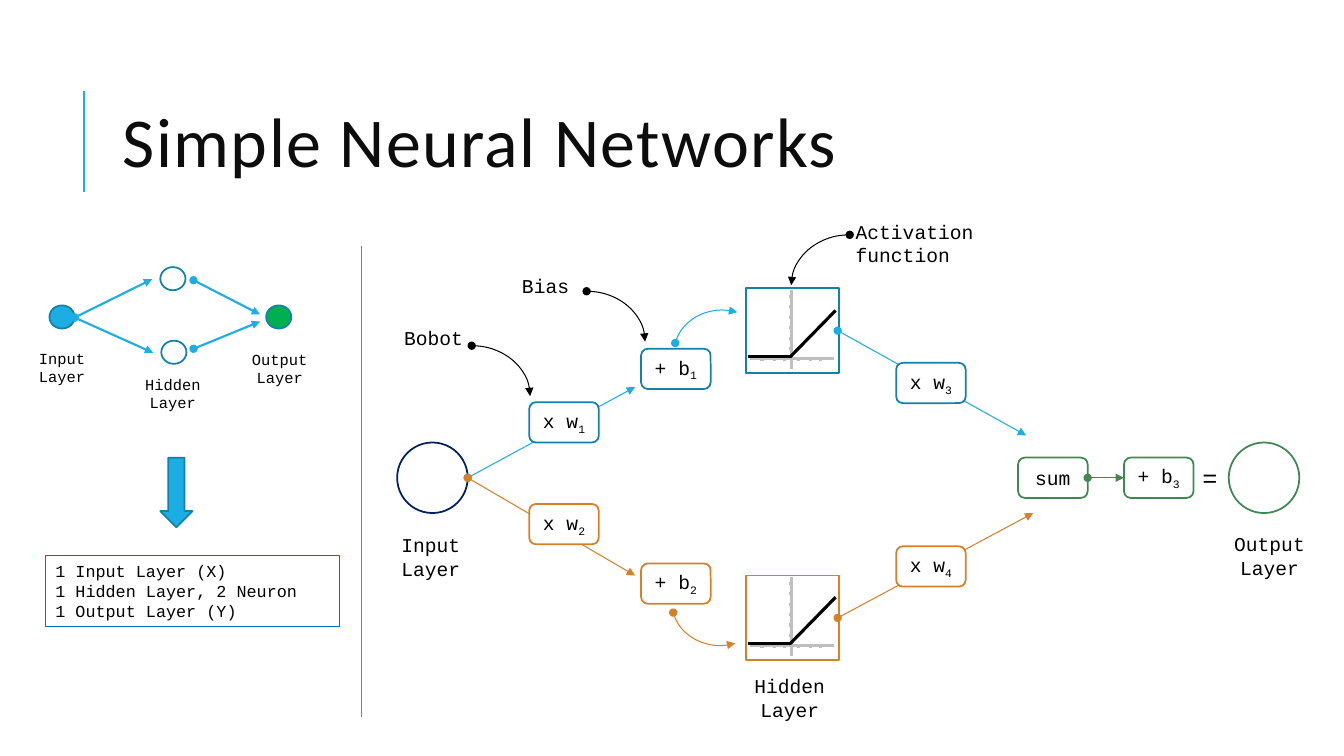
from dataclasses import dataclass

import pptx
import pptx.dml.color
import pptx.enum.shapes
import pptx.enum.text
import pptx.oxml
import pptx.oxml.ns
import pptx.shapes.autoshape
import pptx.shapes.base
import pptx.shapes.shapetree
import pptx.util

SHAPE = pptx.enum.shapes.MSO_SHAPE
ALIGN = pptx.enum.text.PP_ALIGN
ANCHOR = pptx.enum.text.MSO_ANCHOR
Canvas = pptx.shapes.shapetree.SlideShapes | pptx.shapes.shapetree.GroupShapes

COLORS = {
    "white": "FFFFFF", "black": "000000", "title": "0D0D0D", "sky": "1CADE4",
    "teal": "1580A9", "orange": "D88028", "green": "3E8853", "navy": "002060",
    "output": "00B050", "frame": "0070C0", "axis": "BFBFBF", "divider": "7F7F7F",
}
COLUMNS, ROWS = 133.33, 75  # square grid cells, a tenth of an inch each
CELL = pptx.util.Inches(0.1)
CODE_FONT = "Courier New"


@dataclass
class Outline:
    kind: SHAPE
    left: float
    top: float
    width: float
    height: float
    line: str
    fill: str | None = None
    weight: float = 1.25


@dataclass
class Step:
    left: float
    top: float
    text: str
    index: str
    line: str


@dataclass
class Link:
    start: tuple[float, float]
    end: tuple[float, float]
    line: str
    weight: float = 0.75
    arrow: bool = True


@dataclass
class Curve:
    left: float
    top: float
    width: float
    height: float
    line: str
    rotation: float = 0
    flip: str = ""


@dataclass
class Label:
    text: str
    left: float
    top: float
    width: float
    height: float
    size: float = 14
    align: ALIGN = ALIGN.CENTER
    font: str = CODE_FONT
    color: str = "black"


def cells(count: float) -> pptx.util.Length:
    return pptx.util.Emu(round(count * CELL))


def rgb(name: str) -> pptx.dml.color.RGBColor:
    return pptx.dml.color.RGBColor.from_string(COLORS[name])


def set_line(shape: pptx.shapes.base.BaseShape, color: str, weight: float, arrow: bool = False) -> None:
    shape.line.color.rgb = rgb(color)
    shape.line.width = pptx.util.Pt(weight)
    if arrow:
        for end, kind in (("a:headEnd", "oval"), ("a:tailEnd", "triangle")):
            shape.get_or_add_ln().append(pptx.oxml.parse_xml(
                f'<{end} {pptx.oxml.ns.nsdecls("a")} type="{kind}"/>'))


def draw_outline(canvas: Canvas, item: Outline) -> pptx.shapes.autoshape.Shape:
    shape = canvas.add_shape(item.kind, *map(cells, (item.left, item.top, item.width, item.height)))
    shape.shadow.inherit = False
    if item.fill:
        shape.fill.solid()
        shape.fill.fore_color.rgb = rgb(item.fill)
    else:
        shape.fill.background()
    set_line(shape, item.line, item.weight)
    return shape


def draw_link(canvas: Canvas, link: Link) -> None:
    connector = canvas.add_connector(
        pptx.enum.shapes.MSO_CONNECTOR.STRAIGHT, *map(cells, (*link.start, *link.end)))
    set_line(connector, link.line, link.weight, link.arrow)
    connector.element.spPr.append(
        pptx.oxml.parse_xml(f'<a:effectLst {pptx.oxml.ns.nsdecls("a")}/>'))


def draw_curve(canvas: Canvas, curve: Curve) -> None:
    shape = draw_outline(canvas, Outline(
        SHAPE.ARC, curve.left, curve.top, curve.width, curve.height, curve.line, weight=0.75))
    set_line(shape, curve.line, 0.75, arrow=True)
    shape.rotation = curve.rotation
    if curve.flip:
        shape.element.spPr.find(pptx.oxml.ns.qn("a:xfrm")).set(curve.flip, "1")


def write(box: pptx.shapes.autoshape.Shape, text: str, size: float, align: ALIGN,
          font: str = CODE_FONT, color: str = "black") -> None:
    box.text_frame.text = text
    box.text_frame.word_wrap = True
    for para in box.text_frame.paragraphs:
        para.alignment = align
        for span in para.runs:
            style_span(span, size, font, color)


def style_span(span, size: float, font: str, color: str) -> None:
    span.font.size = pptx.util.Pt(size)
    span.font.name = font
    span.font.color.rgb = rgb(color)


def set_last_run(box: pptx.shapes.autoshape.Shape, name: str, value: str) -> None:
    """Set an XML attribute of the last run, such as baseline or spacing."""
    box.element.findall(".//" + pptx.oxml.ns.qn("a:rPr"))[-1].set(name, value)


def draw_label(canvas: Canvas, label: Label) -> pptx.shapes.autoshape.Shape:
    box = canvas.add_textbox(*map(cells, (label.left, label.top, label.width, label.height)))
    write(box, label.text, label.size, label.align, label.font, label.color)
    return box


def draw_step(canvas: Canvas, step: Step) -> None:
    box = draw_outline(canvas, Outline(
        SHAPE.ROUNDED_RECTANGLE, step.left, step.top, 6.9, 4, step.line, "white"))
    write(box, step.text, 14, ALIGN.CENTER)
    box.text_frame.vertical_anchor = ANCHOR.MIDDLE
    if step.index:
        span = box.text_frame.paragraphs[0].add_run()
        span.text = step.index
        style_span(span, 14, CODE_FONT, "black")
        set_last_run(box, "baseline", "-25000")


def draw_activation(canvas: Canvas, top: float) -> None:
    """Draw ticked axes and the rectifier curve."""
    center, base = 78.5, top + 7
    grey = [((74.4, base), (82.7, base)), ((center, top + 0.2), (center, top + 8))]
    grey += [((center + x, base), (center + x, base + 0.2)) for x in (-2.9, -1.7, -0.7, 0.7, 1.9, 2.9)]
    grey += [((center, y), (center - 0.2, y)) for y in (top + 0.8 + 1.04 * i for i in range(6))]
    axes = canvas.add_group_shape().shapes
    for start, end in grey:
        draw_link(axes, Link(start, end, "axis", 2.25, False))
    curve = canvas.add_group_shape().shapes
    for start, end in (((74.2, base - 0.2), (78.5, base - 0.2)), ((78.4, base - 0.2), (82.9, base - 4.8))):
        draw_link(curve, Link(start, end, "black", 2.25, False))


NODES = [
    Outline(SHAPE.OVAL, 39.4, 43.9, 7, 7, "navy", "white"),
    Outline(SHAPE.RECTANGLE, 74, 28.6, 9.2, 8.4, "teal", "white"),
    Outline(SHAPE.RECTANGLE, 74, 57.1, 9.2, 8.4, "orange", "white"),
    Outline(SHAPE.OVAL, 121.9, 43.9, 7, 7, "green", "white"),
    Outline(SHAPE.DOWN_ARROW, 15.9, 45.4, 3.2, 6.9, "teal", "sky"),
]
LINKS = [
    Link((8.3, 19), (8.3, 9), "sky", 1.5, False),
    Link((35.9, 24.4), (35.9, 71.1), "divider", arrow=False),
    Link((46.4, 47.4), (63, 38.4), "sky"), Link((46.4, 47.4), (63, 57.1), "orange"),
    Link((83.1, 32.8), (101.8, 43.2), "sky"), Link((83.1, 61.3), (102.5, 50.9), "orange"),
]
STEPS = [
    Step(101, 45.4, "sum", "", "green"), Step(111.5, 45.4, "+ b", "3", "green"),
    Step(52.5, 39.9, "x w", "1", "teal"), Step(63.6, 34.6, "+ b", "1", "teal"),
    Step(52.5, 50, "x w", "2", "orange"), Step(63.6, 55.9, "+ b", "2", "orange"),
    Step(88.9, 54.2, "x w", "4", "orange"), Step(88.9, 36, "x w", "3", "teal"),
]
CURVES = [
    Curve(67.3, 30.3, 9.2, 10.2, "sky", 285.6), Curve(67.1, 54.3, 9.2, 10.2, "orange", 74.4, "flipV"),
    Curve(78.5, 23.3, 11.6, 10, "black", flip="flipH"),
    Curve(41, 34.3, 11.6, 10, "black"), Curve(52.4, 28.9, 11.6, 10, "black"),
]
LABELS = [
    Label("Activation function", 83.9, 21.3, 17.9, 5.7, align=ALIGN.LEFT),
    Label("Bobot", 39.1, 31.8, 8.3, 3.4, align=ALIGN.LEFT),
    Label("Bias", 50.8, 26.7, 7.5, 3.4, align=ALIGN.LEFT),
    Label("=", 118.3, 45.4, 3.5, 4, 18, ALIGN.LEFT),
    Label("Input Layer", 38.1, 52.4, 9.3, 5.7), Label("Hidden Layer", 73.7, 66.4, 9.3, 5.7),
    Label("Output Layer", 121.3, 52.3, 9.3, 5.7),
]
SMALL_NODES = [(4.9, 30.3, "sky"), (26.4, 30.3, "output"), (15.9, 26.5, None), (16, 33.8, None)]
SMALL_LINKS = [((7.4, 31.5), (15.1, 27.7)), ((7.4, 31.5), (15.2, 35)),
               ((19.2, 34.6), (25.8, 31.9)), ((19.2, 27.8), (25.8, 31.2))]
SMALL_LABELS = [("Output Layer", 23.9, 34.2), ("Hidden Layer", 13.3, 36.7), ("Input Layer", 2.3, 34.1)]


def draw_overview(canvas: Canvas) -> None:
    for left, top, fill in SMALL_NODES:
        draw_outline(canvas, Outline(SHAPE.OVAL, left, top, 2.5, 2.3, "teal", fill))
    for start, end in SMALL_LINKS:
        draw_link(canvas, Link(start, end, "sky", 1.5))
    for text, left, top in SMALL_LABELS:
        draw_label(canvas, Label(text, left, top, 7.7, 4.7, 11))


def main() -> None:
    deck = pptx.Presentation()
    deck.slide_width, deck.slide_height = cells(COLUMNS), cells(ROWS)
    page = deck.slides.add_slide(deck.slide_layouts[6])
    canvas = page.shapes
    title = draw_label(canvas, Label("Simple Neural Networks", 11.2, 6.4, 106.3, 16.4, 50,
                                     ALIGN.LEFT, "Calibri", "title"))
    title.text_frame.vertical_anchor = ANCHOR.MIDDLE
    title.text_frame.paragraphs[0].line_spacing = 0.8
    set_last_run(title, "spc", "100")
    for draw, items in ((draw_outline, NODES), (draw_link, LINKS), (draw_step, STEPS),
                        (draw_curve, CURVES), (draw_activation, (28.6, 57.05)), (draw_label, LABELS)):
        for item in items:
            draw(canvas, item)
    draw_link(canvas, Link((107.9, 47.4), (111.5, 47.4), "green"))
    draw_overview(canvas.add_group_shape().shapes)
    summary = draw_outline(canvas, Outline(SHAPE.RECTANGLE, 4.5, 55.1, 29.2, 7.1, "frame", weight=0.75))
    write(summary, "1 Input Layer (X)\n1 Hidden Layer, 2 Neuron\n1 Output Layer (Y)", 12, ALIGN.LEFT)
    summary.text_frame.vertical_anchor = ANCHOR.TOP
    deck.save("out.pptx")


if __name__ == "__main__":
    main()
